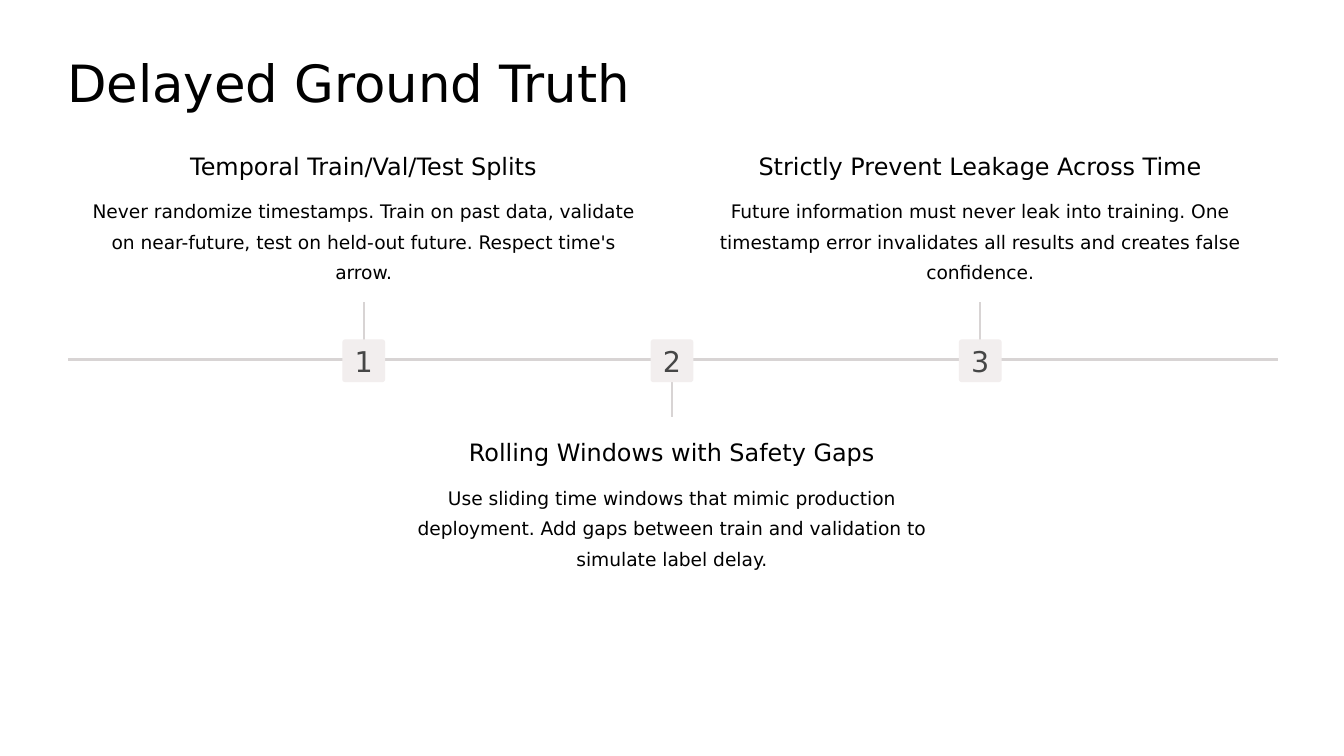
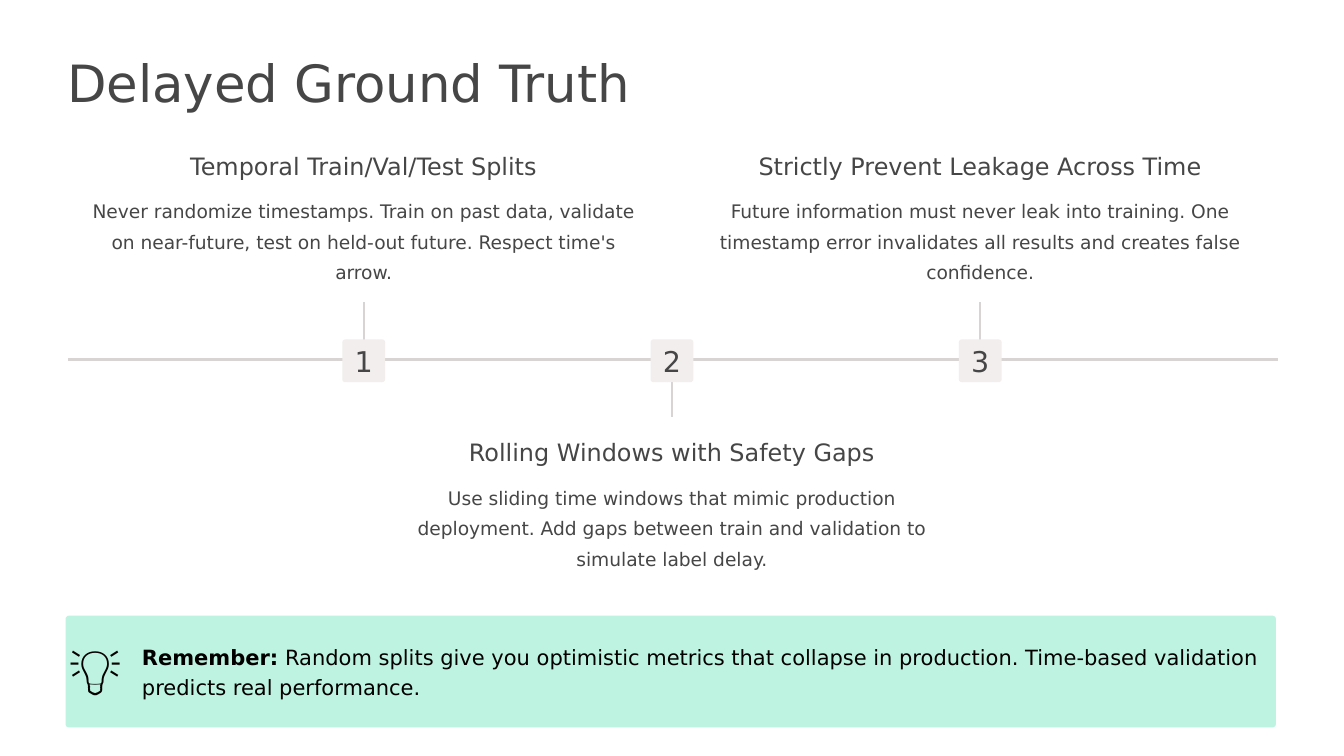
from pptx import Presentation, util as u
from pptx.dml.color import RGBColor
from pptx.enum import shapes, text
from pptx.oxml.ns import qn
from lxml import etree

# Content
TITLE = "Delayed Ground Truth"
STEPS = [
    ("Temporal Train/Val/Test Splits",
     "Never randomize timestamps. Train on past data, validate on near-future, "
     "test on held-out future. Respect time's arrow."),
    ("Rolling Windows with Safety Gaps",
     "Use sliding time windows that mimic production deployment. "
     "Add gaps between train and validation to simulate label delay."),
    ("Strictly Prevent Leakage Across Time",
     "Future information must never leak into training. One timestamp error "
     "invalidates all results and creates false confidence."),
]
REMINDER = [
    ("Remember:", True),
    (" Random splits give you optimistic metrics that collapse in production. "
     "Time-based validation predicts real performance.", False),
]

# Style and layout, in inches
BLACK, GREY, WHITE = "000000", "464646", "FFFFFF"
LINE, MARKER, MINT = "D8D4D4", "F2EEEE", "BEF3E2"
FONT = "DejaVu Sans"
WIDTH, HEIGHT = 16, 9
STEP_GAP = 3.67
AXIS_Y = 4.28
AXIS_LEFT, AXIS_RIGHT = 0.81, 15.22
MARKER_SIZE, STEM = 0.51, 0.68
BODY_WIDTH = 6.6
TOP_ABOVE, TOP_BELOW = 1.79, 5.2


def color(value):
    return RGBColor.from_string(value)


def write(shape, content, size=16, fill=BLACK, leading=None, align="LEFT",
          font=FONT, wrap=True, inset=(0, 0, 0, 0)):
    """Write a string, or a list of (string, bold) spans, as one paragraph."""
    frame = shape.text_frame
    frame.word_wrap = wrap
    frame.vertical_anchor = text.MSO_ANCHOR.TOP
    (frame.margin_left, frame.margin_top,
     frame.margin_right, frame.margin_bottom) = map(u.Inches, inset)
    para = frame.paragraphs[0]
    para.alignment = getattr(text.PP_ALIGN, align)
    if leading:
        para.line_spacing = u.Pt(leading)
    spans = [(content, False)] if isinstance(content, str) else content
    for words, bold in spans:
        span = para.add_run()
        span.text = words
        span.font.name, span.font.size, span.font.bold = font, u.Pt(size), bold
        span.font.color.rgb = color(fill)


def add_text(page, place, content, **style):
    box = page.shapes.add_textbox(*map(u.Inches, place))
    write(box, content, **style)


def add_panel(page, place, fill, rounding):
    panel = page.shapes.add_shape(
        shapes.MSO_SHAPE.ROUNDED_RECTANGLE, *map(u.Inches, place))
    panel.adjustments[0] = rounding
    panel.shadow.inherit = False
    panel.fill.solid()
    panel.fill.fore_color.rgb = color(fill)
    panel.line.fill.background()
    return panel


def add_line(page, *ends):
    line = page.shapes.add_connector(
        shapes.MSO_CONNECTOR.STRAIGHT, *map(u.Inches, ends))
    line.line.width = u.Pt(2)
    line.line.color.rgb = color(LINE)
    etree.SubElement(line._element.spPr, qn("a:effectLst"))


def add_step(page, index, heading, body, ink):
    center = WIDTH / 2 + (index - 1) * STEP_GAP
    below = index % 2 == 1
    top = TOP_BELOW if below else TOP_ABOVE
    add_line(page, center, AXIS_Y, center, AXIS_Y + (STEM if below else -STEM))
    marker = add_panel(page, (center - MARKER_SIZE / 2, 4.04,
                              MARKER_SIZE, MARKER_SIZE), MARKER, 0.07)
    write(marker, str(index + 1), size=24.5, fill=GREY, leading=24.5,
          align="CENTER", inset=(0, 0.11, 0, 0))
    left = center - BODY_WIDTH / 2
    add_text(page, (left, top, BODY_WIDTH, 0.36), heading, size=20.5,
             fill=ink, leading=25.5, align="CENTER")
    add_text(page, (left, top + 0.5, BODY_WIDTH, 1.09), body,
             fill=ink, leading=26, align="CENTER")


def add_timeline(deck, ink):
    page = deck.slides.add_slide(deck.slide_layouts[6])
    page.background.fill.solid()
    page.background.fill.fore_color.rgb = color(WHITE)
    add_text(page, (0.8, 0.63, 8.2, 0.71), TITLE, size=44, fill=ink,
             leading=51, wrap=False)
    add_line(page, AXIS_LEFT, AXIS_Y, AXIS_RIGHT, AXIS_Y)
    for index, (heading, body) in enumerate(STEPS):
        add_step(page, index, heading, body, ink)
    return page


def add_reminder(page):
    add_panel(page, (0.78, 7.33, 14.41, 1.33), MINT, 0.03)
    add_text(page, (1.69, 7.61, 13.52, 0.73), REMINDER, size=18, leading=26)
    add_text(page, (0.72, 7.53, 1.97, 0.84), "💡", size=44, font="Calibri",
             inset=(0.1, 0.05, 0.1, 0.05))


def main():
    deck = Presentation()
    deck.slide_width, deck.slide_height = u.Inches(WIDTH), u.Inches(HEIGHT)
    add_timeline(deck, BLACK)
    add_reminder(add_timeline(deck, GREY))
    deck.save("out.pptx")


if __name__ == "__main__":
    main()
